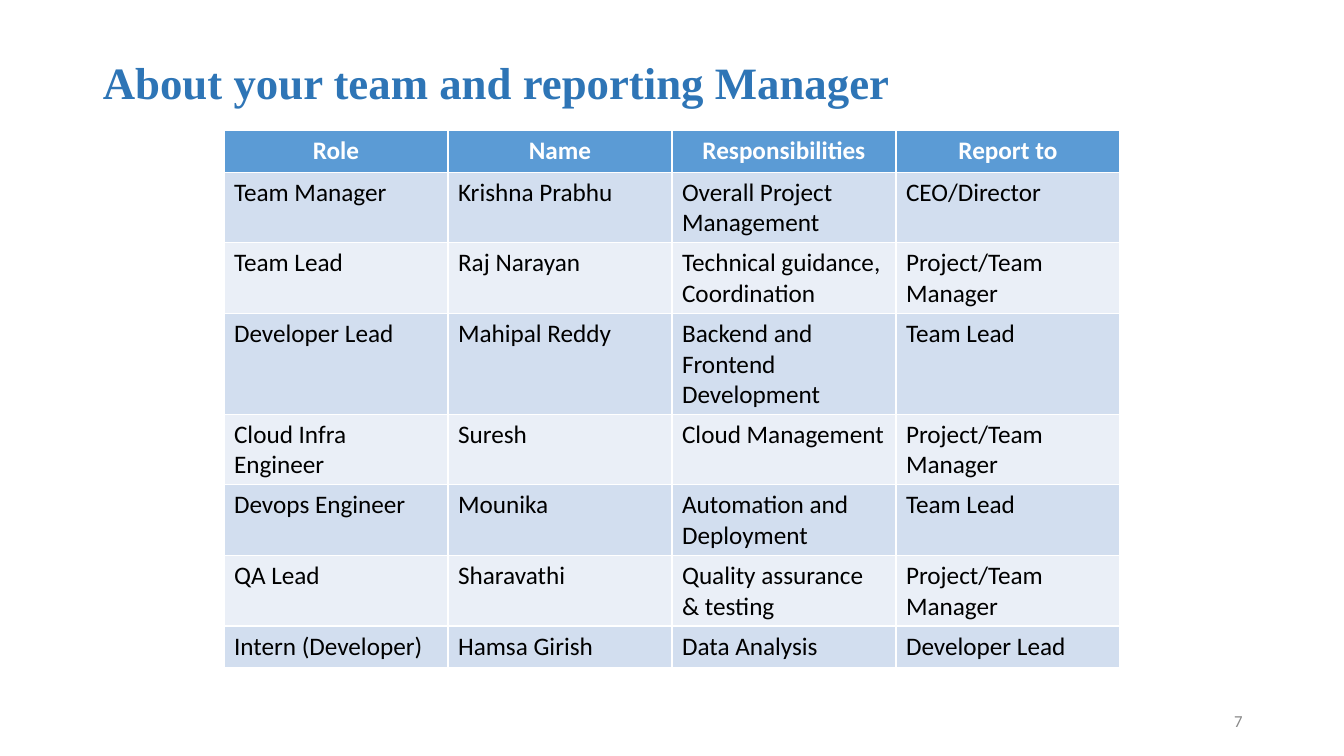
from pptx import Presentation
from pptx import util as u
from pptx.dml.color import RGBColor
from pptx.enum import text

WIDTH, HEIGHT = u.Inches(13.33), u.Inches(7.5)
COLORS = {
    "title": "2E75B6",
    "header": "5B9BD5",
    "odd": "D2DEEF",
    "even": "EAEFF7",
    "white": "FFFFFF",
    "black": "000000",
    "number": "898989",
}
HEADINGS = ("Role", "Name", "Responsibilities", "Report to")
TEAM = [
    ("Team Manager", "Krishna Prabhu", "Overall Project Management", "CEO/Director"),
    ("Team Lead", "Raj Narayan", "Technical guidance, Coordination", "Project/Team Manager"),
    ("Developer Lead", "Mahipal Reddy", "Backend and Frontend Development", "Team Lead"),
    ("Cloud Infra Engineer", "Suresh", "Cloud Management", "Project/Team Manager"),
    ("Devops Engineer", "Mounika", "Automation and Deployment", "Team Lead"),
    ("QA Lead", "Sharavathi", "Quality assurance & testing", "Project/Team Manager"),
    ("Intern (Developer)", "Hamsa Girish", "Data Analysis", "Developer Lead"),
]
LINES_PER_ROW = (1, 2, 2, 3, 2, 2, 2, 1)
LINE_HEIGHT, ROW_PADDING = 0.29, 0.12


def share(x, y, w, h):
    return int(WIDTH * x), int(HEIGHT * y), int(WIDTH * w), int(HEIGHT * h)


def color(name):
    return RGBColor.from_string(COLORS[name])


def write(frame, words, size, tint, face="Calibri", bold=False, align=text.PP_ALIGN.LEFT):
    frame.text = words
    paragraph = frame.paragraphs[0]
    paragraph.alignment = align
    paragraph.font.name = face
    paragraph.font.size = u.Pt(size)
    paragraph.font.bold = bold
    paragraph.font.color.rgb = color(tint)
    return paragraph


def add_heading(slide, words):
    heading = slide.shapes.title
    heading.left, heading.top, heading.width, heading.height = share(0.069, 0.053, 0.863, 0.12)
    heading.text_frame.vertical_anchor = text.MSO_ANCHOR.MIDDLE
    write(heading.text_frame, words, 32, "title", "Times New Roman", True).line_spacing = 0.9


def add_team_table(slide):
    rows = [HEADINGS, *TEAM]
    heights = [u.Inches(ROW_PADDING + LINE_HEIGHT * lines) for lines in LINES_PER_ROW]
    left, top, width, _ = share(1 / 6, 0.173, 2 / 3, 0)
    team = slide.shapes.add_table(
        len(rows), len(HEADINGS), left, top, width, sum(heights)
    ).table
    for r, (entries, height) in enumerate(zip(rows, heights)):
        team.rows[r].height = height
        for c, entry in enumerate(entries):
            cell = team.cell(r, c)
            cell.fill.solid()
            if r == 0:
                cell.fill.fore_color.rgb = color("header")
                write(cell.text_frame, entry, 18, "white", bold=True, align=text.PP_ALIGN.CENTER)
            else:
                cell.fill.fore_color.rgb = color("odd" if r % 2 else "even")
                write(cell.text_frame, entry, 18, "black")


def add_page_number(slide, number):
    frame = slide.shapes.add_textbox(*share(0.707, 0.927, 0.225, 0.053)).text_frame
    frame.word_wrap = True
    frame.vertical_anchor = text.MSO_ANCHOR.MIDDLE
    write(frame, number, 12, "number", align=text.PP_ALIGN.RIGHT)


def main():
    deck = Presentation()
    deck.slide_width, deck.slide_height = WIDTH, HEIGHT
    slide = deck.slides.add_slide(deck.slide_layouts.get_by_name("Title Only"))
    add_heading(slide, "About your team and reporting Manager")
    add_page_number(slide, "7")
    add_team_table(slide)
    deck.save("out.pptx")


if __name__ == "__main__":
    main()
